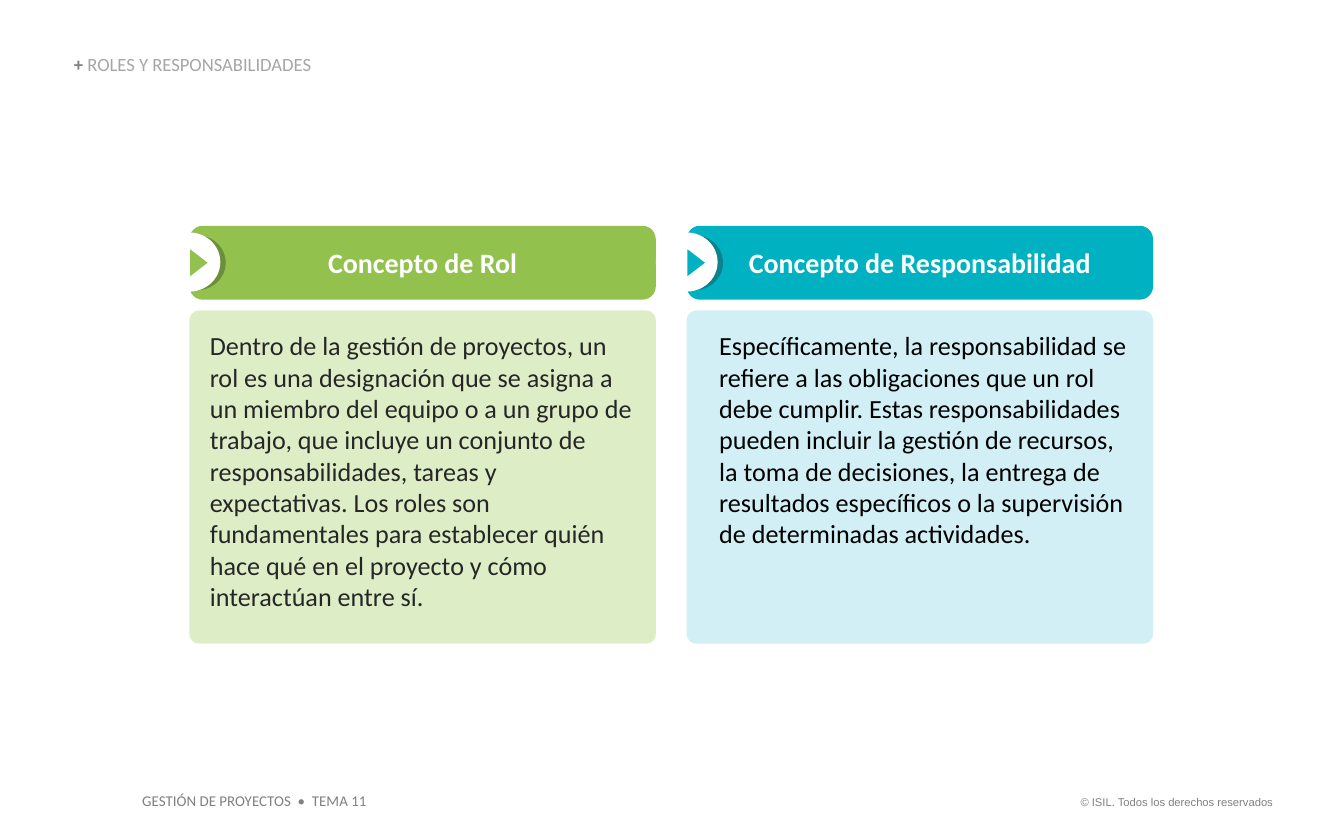
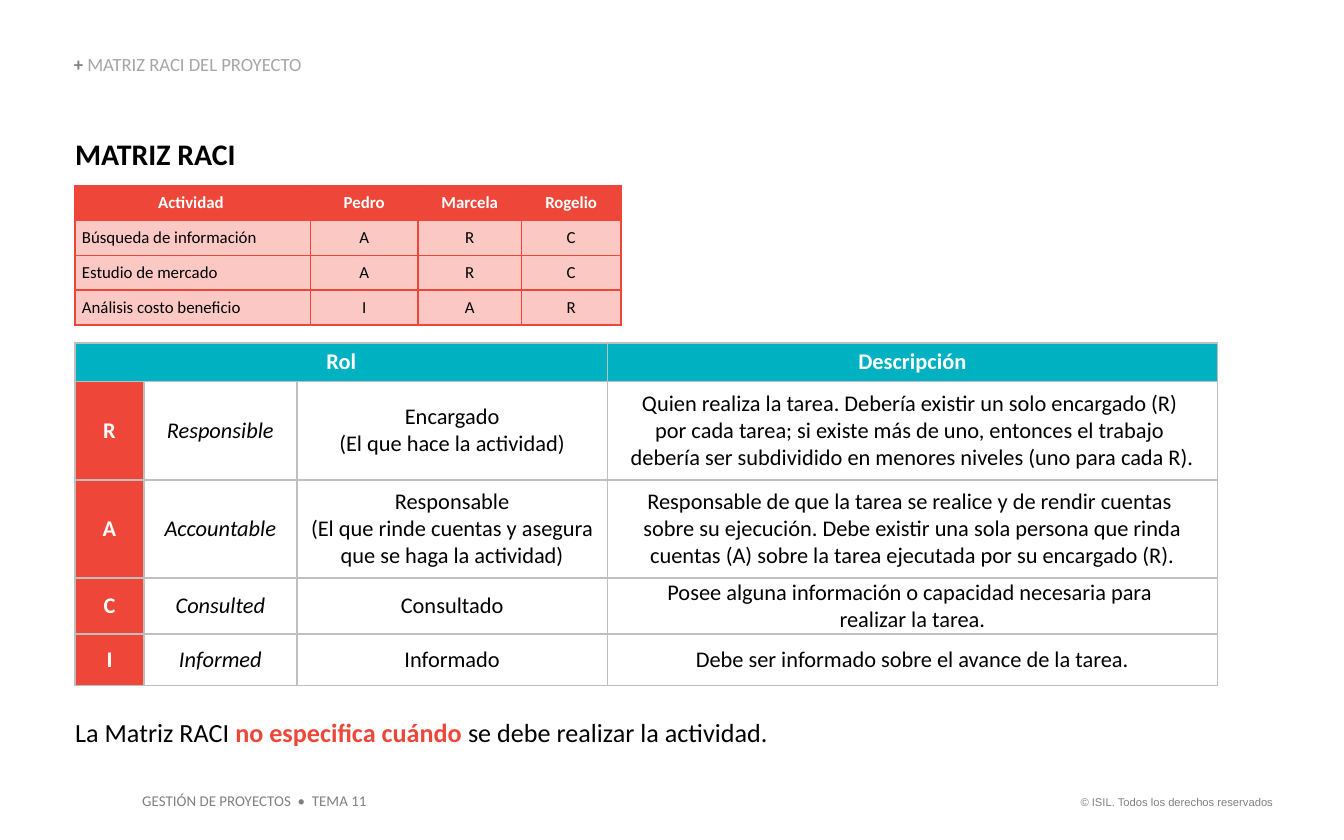
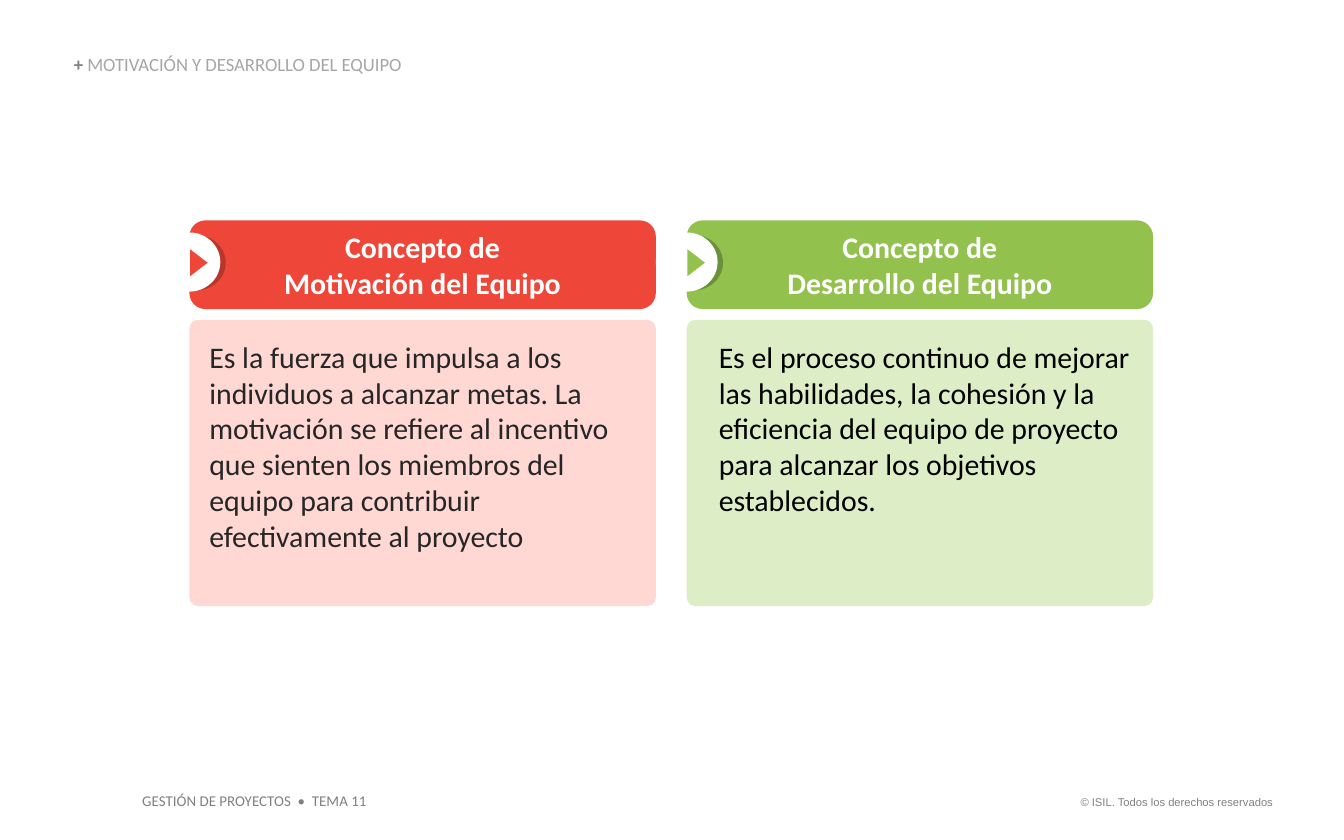
"""Builds three slides on project roles, the RACI matrix and team motivation."""
from lxml import etree
from pptx import Presentation
from pptx.dml.color import RGBColor
from pptx.enum.shapes import MSO_SHAPE
from pptx.enum.text import MSO_ANCHOR, PP_ALIGN
from pptx.oxml.ns import qn
from pptx.util import Inches, Pt

ROUNDED, ELLIPSE, TRIANGLE = (
    MSO_SHAPE.ROUNDED_RECTANGLE, MSO_SHAPE.OVAL, MSO_SHAPE.ISOSCELES_TRIANGLE)
TOP, MIDDLE, BOTTOM = MSO_ANCHOR.TOP, MSO_ANCHOR.MIDDLE, MSO_ANCHOR.BOTTOM
LEFT, CENTER, RIGHT = PP_ALIGN.LEFT, PP_ALIGN.CENTER, PP_ALIGN.RIGHT

WHITE, BLACK, CHARCOAL = "FFFFFF", "000000", "262626"
GRAY, LIGHT_GRAY, RULE_GRAY = "808080", "A6A6A6", "BFBFBF"
RED, PINK, TEAL = "EE4638", "FBC8C4", "00B1C2"
PALETTES = {
    "green": {"main": "92C14E", "pale": "DDEEC7", "dark": "6B8F3A"},
    "teal": {"main": TEAL, "pale": "D1EFF4", "dark": "0B828E"},
    "red": {"main": RED, "pale": "FFD8D4", "dark": "B7362B"},
}

COURSE = "GESTIÓN DE PROYECTOS  •  TEMA 11"
COPYRIGHT = "© ISIL. Todos los derechos reservados"

ROLE_CARDS = {
    "title": "ROLES Y RESPONSABILIDADES",
    "head": (1.68, 0.55, 15),
    "body": (2.31, 2.48, 14),
    "cards": [
        ("green", "Concepto de Rol",
         "Dentro de la gestión de proyectos, un rol es una designación que se asigna a un "
         "miembro del equipo o a un grupo de trabajo, que incluye un conjunto de "
         "responsabilidades, tareas y expectativas. Los roles son fundamentales para "
         "establecer quién hace qué en el proyecto y cómo interactúan entre sí."),
        ("teal", "Concepto de Responsabilidad",
         "Específicamente, la responsabilidad se refiere a las obligaciones que un rol debe "
         "cumplir. Estas responsabilidades pueden incluir la gestión de recursos, la toma de "
         "decisiones, la entrega de resultados específicos o la supervisión de determinadas "
         "actividades."),
    ],
}
TEAM_CARDS = {
    "title": "MOTIVACIÓN Y DESARROLLO DEL EQUIPO",
    "head": (1.64, 0.66, 16),
    "body": (2.38, 2.13, 16),
    "cards": [
        ("red", "Concepto de\nMotivación del Equipo",
         "Es la fuerza que impulsa a los individuos a alcanzar metas. La motivación se refiere "
         "al incentivo que sienten los miembros del equipo para contribuir efectivamente al "
         "proyecto"),
        ("green", "Concepto de\nDesarrollo del Equipo",
         "Es el proceso continuo de mejorar las habilidades, la cohesión y la eficiencia del "
         "equipo de proyecto para alcanzar los objetivos establecidos."),
    ],
}
CARD_LEFT, CARD_STEP, CARD_WIDTH = 1.41, 3.7, 3.47
BODY_STYLES = [(0.13, CHARCOAL), (0.22, BLACK)]

ACTIVITIES = [
    ["Actividad ", "Pedro", "Marcela", "Rogelio"],
    ["Búsqueda de información", "A", "R", "C"],
    ["Estudio de mercado", "A", "R", "C"],
    ["Análisis costo beneficio", "I", "A", "R"],
]
RACI = [
    ["Rol", "", "", "Descripción"],
    ["R", "Responsible", "Encargado\n(El que hace la actividad)",
     "Quien realiza la tarea. Debería existir un solo encargado (R) \n"
     "por cada tarea; si existe más de uno, entonces el trabajo \n"
     "debería ser subdividido en menores niveles (uno para cada R)."],
    ["A", "Accountable",
     "Responsable\n(El que rinde cuentas y asegura que se haga la actividad)",
     "Responsable de que la tarea se realice y de rendir cuentas \n"
     "sobre su ejecución. Debe existir una sola persona que rinda cuentas (A) "
     "sobre la tarea ejecutada por su encargado (R)."],
    ["C", "Consulted", "Consultado",
     "Posee alguna información o capacidad necesaria para \nrealizar la tarea."],
    ["I", "Informed", "Informado", "Debe ser informado sobre el avance de la tarea."],
]
RACI_NOTE = [("La Matriz RACI ", BLACK, False), ("no especifica cuándo ", RED, True),
             ("se debe realizar la actividad.", BLACK, False)]


def rgb(value):
    """Turn a hex string into a colour."""
    return RGBColor.from_string(value)


def style(font, size=None, color=None, bold=None, italic=None, name=None):
    """Set the given properties of a font."""
    if size:
        font.size = Pt(size)
    if color:
        font.color.rgb = rgb(color)
    if name:
        font.name = name
    font.bold, font.italic = bold, italic


def write(tf, content, size, color=BLACK, bold=False, italic=False, align=LEFT, name="Calibri"):
    """Write a string, or a list of (text, colour, bold) runs, as one paragraph."""
    p = tf.paragraphs[0]
    p.alignment = align
    if isinstance(content, str):
        p.text = content
    else:
        for text, run_color, run_bold in content:
            r = p.add_run()
            r.text = text
            style(r.font, color=run_color, bold=run_bold)
    style(p.font, size, color, bold, italic, name)
    return p


def set_margins(target, left, top, right, bottom):
    """Set the inner margins of a text frame or a cell in inches."""
    target.margin_left, target.margin_top = Inches(left), Inches(top)
    target.margin_right, target.margin_bottom = Inches(right), Inches(bottom)


def add_text(s, box, content, size, anchor=TOP, margins=(0, 0, 0, 0), wrap=True, **font):
    """Add a text box and return its paragraph."""
    tf = s.shapes.add_textbox(*map(Inches, box)).text_frame
    tf.word_wrap, tf.vertical_anchor = wrap, anchor
    set_margins(tf, *margins)
    return write(tf, content, size, **font)


def add_filled(shapes, kind, box, fill):
    """Add a preset shape with a plain fill and no outline."""
    sp = shapes.add_shape(kind, *map(Inches, box))
    sp.shadow.inherit = False
    sp.fill.solid()
    sp.fill.fore_color.rgb = rgb(fill)
    sp.line.fill.background()
    return sp


def add_panel(s, box, fill, radius, anchor, margins, content, size, **font):
    """Add a rounded rectangle that holds text."""
    sp = add_filled(s.shapes, ROUNDED, box, fill)
    sp.adjustments[0] = radius
    tf = sp.text_frame
    tf.word_wrap, tf.vertical_anchor = True, anchor
    set_margins(tf, *margins)
    write(tf, content, size, **font)


def add_badge(s, left, palette):
    """Add the round arrow badge on the left edge of a card."""
    shapes = s.shapes.add_group_shape().shapes
    add_filled(shapes, ELLIPSE, (left - 0.16, 1.75, 0.43, 0.41), palette["dark"])
    add_filled(shapes, ELLIPSE, (left - 0.23, 1.73, 0.46, 0.44), WHITE)
    arrow = add_filled(shapes, TRIANGLE, (left - 0.03, 1.89, 0.2, 0.13), palette["main"])
    arrow.rotation = 90


def set_borders(cell, color):
    """Draw a one-point line on every side of a cell."""
    tc_pr = cell._tc.get_or_add_tcPr()
    for i, side in enumerate(("a:lnL", "a:lnR", "a:lnT", "a:lnB")):
        ln = etree.Element(qn(side), w=str(Pt(1)))
        fill = etree.SubElement(ln, qn("a:solidFill"))
        etree.SubElement(fill, qn("a:srgbClr"), val=color)
        tc_pr.insert(i, ln)


def add_grid(s, left, top, widths, heights, rows, border, margins, size, look):
    """Add a table; look(row, column) gives the fill and font of each cell."""
    frame = s.shapes.add_table(len(heights), len(widths), Inches(left), Inches(top),
                               Inches(sum(widths)), Inches(sum(heights)))
    table = frame.table
    for column, width in zip(table.columns, widths):
        column.width = Inches(width)
    for i, (row, height) in enumerate(zip(rows, heights)):
        table.rows[i].height = Inches(height)
        for j, text in enumerate(row):
            cell = table.cell(i, j)
            fill, font = look(i, j)
            cell.fill.solid()
            cell.fill.fore_color.rgb = rgb(fill)
            cell.vertical_anchor = MIDDLE
            set_margins(cell, *margins)
            set_borders(cell, border)
            write(cell.text_frame, text, size, **font)
    return table


def activity_look(i, j):
    """Give the look of a cell in the activity table."""
    if i == 0:
        return RED, {"color": WHITE, "bold": True, "align": CENTER}
    return PINK, {"align": CENTER if j else LEFT}


def raci_look(i, j):
    """Give the look of a cell in the role table."""
    if i == 0 or j == 0:
        return (RED if i else TEAL), {"color": WHITE, "bold": True, "align": CENTER}
    return WHITE, {"italic": j == 1, "align": CENTER}


def new_slide(prs, title):
    """Add a blank slide with the shared title and footers."""
    s = prs.slides.add_slide(prs.slide_layouts[6])
    footer = {"margins": (0.1, 0.05, 0.1, 0.05), "wrap": False, "color": GRAY}
    add_text(s, (7.91, 5.87, 1.66, 0.2), COPYRIGHT, 6, align=RIGHT, name="Arial", **footer)
    add_text(s, (0.96, 5.84, 1.87, 0.24), COURSE, 8, **footer)
    p = add_text(s, (0.55, 0.41, 3.35, 0.15),
                 [("+ ", GRAY, True), (title, LIGHT_GRAY, False)], 10, anchor=BOTTOM)
    p.line_spacing = 0.9
    return s


def card_slide(prs, content):
    """Add a slide with two headed cards side by side."""
    s = new_slide(prs, content["title"])
    head_top, head_height, head_size = content["head"]
    body_top, body_height, body_size = content["body"]
    for i, (tone, heading, text) in enumerate(content["cards"]):
        palette, left = PALETTES[tone], CARD_LEFT + i * CARD_STEP
        indent, color = BODY_STYLES[i]
        add_panel(s, (left, head_top, CARD_WIDTH, head_height), palette["main"], 0.18, MIDDLE,
                  (0.1, 0.05, 0.1, 0.05), heading, head_size,
                  color=WHITE, bold=True, align=CENTER)
        add_panel(s, (left, body_top, CARD_WIDTH, body_height), palette["pale"], 0.03, TOP,
                  (indent, 0.12, 0.12, 0.05), text, body_size, color=color)
        add_badge(s, left, palette)


def raci_slide(prs):
    """Add the slide with the RACI matrix and its legend."""
    s = new_slide(prs, "MATRIZ RACI DEL PROYECTO")
    add_text(s, (0.56, 1.01, 5.74, 0.27), "MATRIZ RACI", 16, bold=True)
    add_grid(s, 0.56, 1.38, [1.75, 0.8, 0.77, 0.74], [0.26] * 4, ACTIVITIES, RED,
             (0.05, 0.02, 0.05, 0.02), 9, activity_look)
    table = add_grid(s, 0.56, 2.55, [0.51, 1.14, 2.31, 4.54], [0.29, 0.73, 0.73, 0.42, 0.38],
                     RACI, RULE_GRAY, (0, 0, 0, 0), 12, raci_look)
    table.cell(0, 0).merge(table.cell(0, 2))
    add_text(s, (0.56, 5.33, 8.8, 0.24), RACI_NOTE, 14)


def main():
    """Build the presentation and save it."""
    prs = Presentation()
    prs.slide_width, prs.slide_height = Inches(10), Inches(6.25)
    card_slide(prs, ROLE_CARDS)
    raci_slide(prs)
    card_slide(prs, TEAM_CARDS)
    prs.save("out.pptx")


if __name__ == "__main__":
    main()
